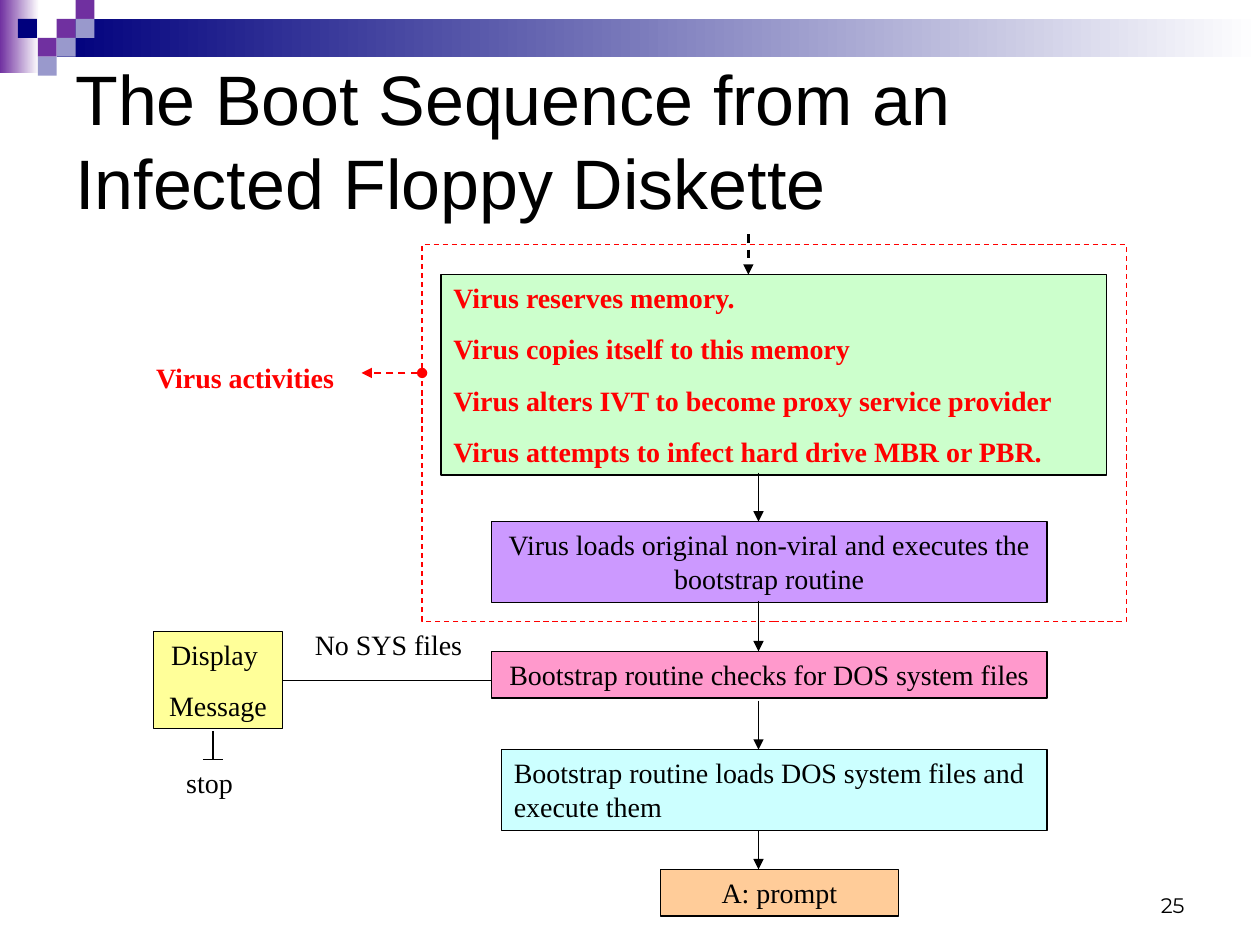
import dataclasses

import lxml.etree
import pptx
import pptx.dml.color
import pptx.enum.dml
import pptx.enum.shapes
import pptx.enum.text
import pptx.oxml.ns
import pptx.util

Inches = pptx.util.Inches
Align = pptx.enum.text.PP_ALIGN
Anchor = pptx.enum.text.MSO_ANCHOR


@dataclasses.dataclass(frozen=True)
class Theme:
    """Colours, fonts and type sizes of the slide."""
    ink: str = "000000"
    virus: str = "FF0000"
    paper: str = "FFFFFF"
    purple: str = "7030A0"
    navy: str = "00007D"
    periwinkle: str = "9999CC"
    green: str = "CCFFCC"
    violet: str = "CC99FF"
    pink: str = "FF99CC"
    yellow: str = "FFFF99"
    cyan: str = "CCFFFF"
    orange: str = "FFCC99"
    title_font: str = "Arial"
    body_font: str = "Times New Roman"
    number_font: str = "Montserrat"
    title_size: int = 40
    body_size: int = 16
    number_size: int = 12
    body_gap: int = 10
    thin: float = 0.75


class FlowSlide:
    """Draws flow chart elements on one slide in one theme."""

    def __init__(self, slide, theme):
        self.slide = slide
        self.theme = theme

    def color(self, value):
        """Return an RGB colour."""
        return pptx.dml.color.RGBColor.from_string(value)

    def stroke(self, line, color, width, dashed):
        """Set colour, width and dash of a line."""
        line.color.rgb = self.color(color)
        line.width = pptx.util.Pt(width)
        if dashed:
            line.dash_style = pptx.enum.dml.MSO_LINE.DASH

    def rectangle(self, place, fill=None, fade=None, outline=None, dashed=False):
        """Add a rectangle with a plain, fading or empty fill."""
        shape = self.slide.shapes.add_shape(
            pptx.enum.shapes.MSO_SHAPE.RECTANGLE, *map(Inches, place))
        shape.shadow.inherit = False
        if fade:
            shape.fill.gradient()
            shape.fill.gradient_angle = 0
            for stop, shade in zip(shape.fill.gradient_stops, (fill, fade)):
                stop.color.rgb = self.color(shade)
        elif fill:
            shape.fill.solid()
            shape.fill.fore_color.rgb = self.color(fill)
        else:
            shape.fill.background()
        if outline:
            self.stroke(shape.line, outline, self.theme.thin, dashed)
        else:
            shape.line.fill.background()
        return shape

    def set_wording(self, shape, wording, size=None, font=None, color=None, bold=False,
                    align=Align.LEFT, anchor=Anchor.TOP, gap=0):
        """Put one paragraph in the shape for each line of wording."""
        frame = shape.text_frame
        frame.word_wrap = True
        frame.vertical_anchor = anchor
        frame.text = wording
        for paragraph in frame.paragraphs:
            paragraph.alignment = align
            paragraph.space_before = pptx.util.Pt(gap)
            paragraph.font.size = pptx.util.Pt(size or self.theme.body_size)
            paragraph.font.name = font or self.theme.body_font
            paragraph.font.bold = bold
            paragraph.font.color.rgb = self.color(color or self.theme.ink)

    def text(self, place, wording, **style):
        """Add a free text box."""
        box = self.slide.shapes.add_textbox(*map(Inches, place))
        self.set_wording(box, wording, **style)

    def label(self, place, wording, **style):
        """Add a flow chart label."""
        self.text(place, wording, gap=self.theme.body_gap, **style)

    def step(self, place, fill, wording, **style):
        """Add an outlined flow chart step."""
        box = self.rectangle(place, fill, outline=self.theme.ink)
        self.set_wording(box, wording, gap=self.theme.body_gap, **style)

    def line(self, start, end, color=None, width=None, dashed=False, head=None, tail=None):
        """Add a straight line with optional ends."""
        link = self.slide.shapes.add_connector(
            pptx.enum.shapes.MSO_CONNECTOR.STRAIGHT, *map(Inches, start + end))
        self.stroke(link.line, color or self.theme.ink, width or self.theme.thin, dashed)
        qn = pptx.oxml.ns.qn
        properties = link._element.spPr
        outline = properties.find(qn("a:ln"))
        for tag, kind in (("a:headEnd", head), ("a:tailEnd", tail)):
            if kind:
                lxml.etree.SubElement(outline, qn(tag), type=kind)
        lxml.etree.SubElement(properties, qn("a:effectLst"))

    def arrow(self, start, end, **style):
        """Add a line that ends in a triangle."""
        self.line(start, end, tail="triangle", **style)


def main():
    """Build the boot sequence slide."""
    deck = pptx.Presentation()
    deck.slide_width, deck.slide_height = Inches(10), Inches(7.5)
    theme = Theme()
    flow = FlowSlide(deck.slides.add_slide(deck.slide_layouts[6]), theme)

    flow.rectangle((0, 0, 0.31, 0.58), theme.purple, fade=theme.paper)
    flow.rectangle((0.45, 0.15, 9.55, 0.3), theme.navy, fade=theme.paper)
    tile = 0.15
    mosaic = (
        (3, 1, theme.purple), (4, 0, theme.purple), (4, 1, theme.periwinkle),
        (2, 2, theme.purple), (0.95, 1, theme.navy), (3, 2, theme.periwinkle),
        (2, 3, theme.periwinkle),
    )
    for column, row, shade in mosaic:
        flow.rectangle((column * tile, row * tile, tile, tile), shade)

    flow.text((7.17, 6.83, 2.33, 0.5), "25", size=theme.number_size,
              font=theme.number_font, align=Align.RIGHT, anchor=Anchor.BOTTOM)
    flow.text((0.5, 0.36, 9, 1.5), "The Boot Sequence from an Infected Floppy Diskette",
              size=theme.title_size, font=theme.title_font, anchor=Anchor.MIDDLE)

    virus_actions = "\n".join((
        "Virus reserves memory.",
        "Virus copies itself to this memory",
        "Virus alters IVT to become proxy service provider",
        "Virus attempts to infect hard drive MBR or PBR.",
    ))
    flow.step((3.5, 2.18, 5.28, 1.59), theme.green, virus_actions,
              color=theme.virus, bold=True)
    centred_steps = (
        ((3.9, 4.14, 4.41, 0.64), theme.violet,
         "Virus loads original non-viral and executes the bootstrap routine"),
        ((3.9, 5.17, 4.41, 0.37), theme.pink,
         "Bootstrap routine checks for DOS system files"),
        ((1.22, 5.01, 1.02, 0.77), theme.yellow, "Display \nMessage"),
        ((5.24, 6.9, 1.89, 0.37), theme.orange, "A: prompt"),
    )
    for place, fill, wording in centred_steps:
        flow.step(place, fill, wording, align=Align.CENTER)
    flow.step((3.98, 5.95, 4.33, 0.64), theme.cyan,
              "Bootstrap routine loads DOS system files and execute them")

    flow.label((1.38, 6.03, 0.63, 0.37), "stop")
    flow.line((1.69, 5.8), (1.69, 6.03))
    flow.line((1.61, 6.03), (1.77, 6.03))
    flow.line((2.24, 5.4), (3.9, 5.4))
    flow.label((2.4, 4.93, 1.42, 0.37), "No SYS files")

    for top, bottom in ((3.75, 4.14), (4.77, 5.17), (5.56, 5.95), (6.59, 6.9)):
        flow.arrow((6.02, top), (6.02, bottom))

    flow.rectangle((3.35, 1.94, 5.59, 2.99), outline=theme.virus, dashed=True)
    flow.arrow((3.35, 2.96), (2.87, 2.96), color=theme.virus, width=1,
               dashed=True, head="oval")
    flow.label((1.14, 2.81, 1.65, 0.37), "Virus activities", color=theme.virus, bold=True)
    flow.arrow((5.94, 1.86), (5.94, 2.18), width=1.25, dashed=True)

    deck.save("out.pptx")


if __name__ == "__main__":
    main()
